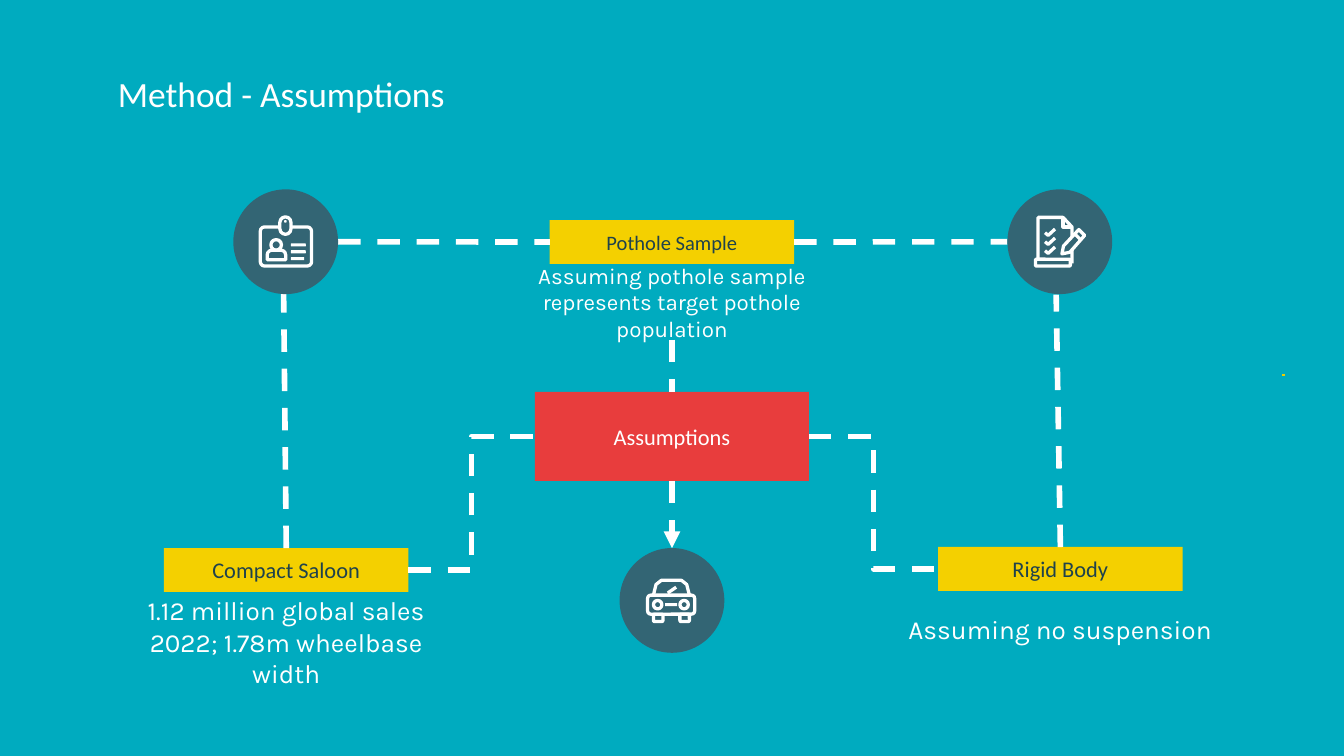
from lxml import etree
from pptx import Presentation
from pptx.dml.color import RGBColor
from pptx.enum.dml import MSO_LINE
from pptx.enum.shapes import MSO_CONNECTOR, MSO_SHAPE
from pptx.enum.text import MSO_ANCHOR, PP_ALIGN
from pptx.oxml.ns import qn
from pptx.util import Cm, Pt

RECT, OVAL = MSO_SHAPE.RECTANGLE, MSO_SHAPE.OVAL
ROUND, DOME = MSO_SHAPE.ROUNDED_RECTANGLE, MSO_SHAPE.ROUND_2_SAME_RECTANGLE
STRAIGHT, ELBOW = MSO_CONNECTOR.STRAIGHT, MSO_CONNECTOR.ELBOW
DASH = MSO_LINE.DASH
TOP, MIDDLE = MSO_ANCHOR.TOP, MSO_ANCHOR.MIDDLE
LEFT, CENTER = PP_ALIGN.LEFT, PP_ALIGN.CENTER
NORTH, WEST, SOUTH, EAST = range(4)

TEAL, SLATE, INK = "00ABBF", "336574", "1F424C"
GOLD, RED, WHITE = "F4D000", "E83D3D", "FFFFFF"
DISC = 1.98


def paint(fill, hue):
    fill.solid()
    fill.fore_color.rgb = RGBColor.from_string(hue)


def write(shape, text, size, face, hue, align=CENTER, anchor=MIDDLE):
    frame = shape.text_frame
    frame.text = text
    pad = Cm(0.25)
    look = {"word_wrap": True, "vertical_anchor": anchor, "margin_left": pad,
            "margin_right": pad, "margin_top": pad, "margin_bottom": pad}
    for key, value in look.items():
        setattr(frame, key, value)
    para = frame.paragraphs[0]
    para.alignment = align
    for key, value in {"size": Pt(size), "name": face, "bold": False}.items():
        setattr(para.font, key, value)
    paint(para.font.fill, hue)


def style(shape, fill=None, edge=None):
    shape.shadow.inherit = False
    if fill:
        paint(shape.fill, fill)
    else:
        shape.fill.background()
    if edge:
        paint(shape.line.fill, edge)
        shape.line.width = Pt(1.75)
    else:
        shape.line.fill.background()
    return shape


def block(slide, kind, box, fill=None, edge=None):
    shape = slide.shapes.add_shape(kind, *map(Cm, box))
    return style(shape, fill, edge)


def stroke(slide, box, points, closed=False, fill=None):
    spots = [(Cm(box[0] + x), Cm(box[1] + y)) for x, y in points]
    pen = slide.shapes.build_freeform(*spots[0])
    pen.add_line_segments(spots[1:], close=closed)
    style(pen.convert_to_shape(), fill, WHITE)


def part(slide, box, kind, place, fill=None, edge=WHITE):
    x, y, wide, high = place
    return block(slide, kind, (box[0] + x, box[1] + y, wide, high), fill, edge)


def link(slide, start, end, kind=STRAIGHT, hue=WHITE, width=3, dash=DASH, arrow=False):
    spots = [(0, 0) if hasattr(stop[0], "shape_id") else map(Cm, stop)
             for stop in (start, end)]
    line = slide.shapes.add_connector(kind, *spots[0], *spots[1])
    for stop, join in ((start, line.begin_connect), (end, line.end_connect)):
        if hasattr(stop[0], "shape_id"):
            join(*stop)
    paint(line.line.fill, hue)
    for key, value in {"width": Pt(width), "dash_style": dash}.items():
        setattr(line.line, key, value)
    props = line._element.spPr
    if arrow:
        etree.SubElement(props.find(qn("a:ln")), qn("a:tailEnd"), type="triangle")
    etree.SubElement(props, qn("a:effectLst"))


def head(slide, box, text):
    title = slide.shapes.title
    for key, value in zip(("left", "top", "width", "height"), box):
        setattr(title, key, Cm(value))
    write(title, text, 19, "Calibri", WHITE, LEFT, TOP)


def card(slide, box, name, size, note, drop, high, scale):
    x, y, wide, tall = box
    label = block(slide, RECT, box, GOLD)
    write(label, name, size, "Calibri", INK)
    span = 6.27
    area = (x + (wide - span) / 2, y + tall + drop, span, high)
    words = slide.shapes.add_textbox(*map(Cm, area))
    write(words, note, scale, "Karla", WHITE)
    return label, words


def badge(slide, box):
    block(slide, OVAL, box, SLATE)
    frame = part(slide, box, ROUND, (0.51, 0.71, 0.97, 0.74))
    frame.adjustments[0] = 0.11
    clip = part(slide, box, ROUND, (0.88, 0.52, 0.21, 0.33), SLATE)
    clip.adjustments[0] = 0.5
    part(slide, box, OVAL, (0.96, 0.58, 0.05, 0.05), WHITE, None)
    part(slide, box, OVAL, (0.71, 0.95, 0.2, 0.2))
    torso = part(slide, box, DOME, (0.64, 1.15, 0.35, 0.18))
    torso.adjustments[0] = 0.5
    for row, wide in enumerate((0.28, 0.28, 0.25)):
        part(slide, box, ROUND, (1.09, 1.02 + 0.13 * row, wide, 0.06), WHITE, None)


def form(slide, box):
    block(slide, OVAL, box, SLATE)
    stroke(slide, box, [(0.58, 1.3), (0.58, 0.53), (1.05, 0.53), (1.22, 0.71), (1.22, 1.4)])
    stroke(slide, box, [(1.05, 0.53), (1.05, 0.71), (1.22, 0.71)])
    part(slide, box, ROUND, (0.53, 1.32, 0.66, 0.13))
    for row in range(3):
        y = 0.82 + 0.17 * row
        stroke(slide, box, [(0.71, y), (0.77, y + 0.05), (0.9, y - 0.07)])
    stroke(slide, box, [(1.03, 1.22), (1.06, 1.07), (1.35, 0.76), (1.46, 0.87),
                        (1.18, 1.19)], True, SLATE)
    stroke(slide, box, [(1.27, 0.84), (1.38, 0.95)])


def car(slide, box):
    block(slide, OVAL, box, SLATE)
    stroke(slide, box, [(0.64, 0.89), (0.69, 0.69), (0.79, 0.61), (1.17, 0.61),
                        (1.27, 0.69), (1.32, 0.89)])
    part(slide, box, ROUND, (0.53, 0.89, 0.89, 0.36))
    for x in (0.64, 1.14):
        part(slide, box, ROUND, (x, 1.25, 0.18, 0.14))
        part(slide, box, OVAL, (x, 0.99, 0.16, 0.16))
    part(slide, box, ROUND, (0.86, 1.04, 0.23, 0.06), WHITE, None)
    stroke(slide, box, [(0.91, 0.85), (1.07, 0.74)])


def main():
    deck = Presentation()
    deck.slide_width, deck.slide_height = Cm(25.4), Cm(14.29)
    slide = deck.slides.add_slide(deck.slide_layouts[5])
    paint(slide.background.fill, TEAL)
    head(slide, (1.98, 1.12, 21.44, 1.6), "Method - Assumptions")

    wide, tall = 4.62, 0.83
    sample, note = card(slide, (10.39, 4.16, wide, tall), "Pothole Sample", 11,
                        "Assuming pothole sample represents target pothole population",
                        0.01, 1.42, 12)
    rigid, _ = card(slide, (17.73, 10.34, wide, tall), "Rigid Body", 12,
                    "Assuming no suspension", 0.03, 1.4, 14)
    sedan, _ = card(slide, (3.1, 10.36, wide, tall), "Compact Saloon", 12,
                    "1.12 million global sales 2022; 1.78m wheelbase width",
                    0.24, 1.4, 14)
    hub = block(slide, RECT, (10.11, 7.41, 5.18, 1.68), RED)
    write(hub, "Assumptions", 12, "Calibri", WHITE)

    level, near, far = 4.57, 5.4, 20.03
    half = DISC / 2
    link(slide, (sedan, EAST), (hub, WEST), ELBOW)
    link(slide, (hub, EAST), (rigid, WEST), ELBOW)
    link(slide, (note, SOUTH), (hub, NORTH))
    link(slide, (hub, SOUTH), (12.7, 10.36), arrow=True)
    link(slide, (near + half, level), (sample, WEST))
    link(slide, (sample, EAST), (far - half, level))
    link(slide, (rigid, NORTH), (19.96, 5.57))
    link(slide, (sedan, NORTH), (5.36, 5.54))
    link(slide, (24.23, 7.09), (24.28, 7.09), hue="EFCB00", width=0.75, dash=None)

    badge(slide, (near - half, level - half, DISC, DISC))
    form(slide, (far - half, level - half, DISC, DISC))
    car(slide, (12.7 - half, 10.36, DISC, DISC))
    deck.save("out.pptx")


if __name__ == "__main__":
    main()
